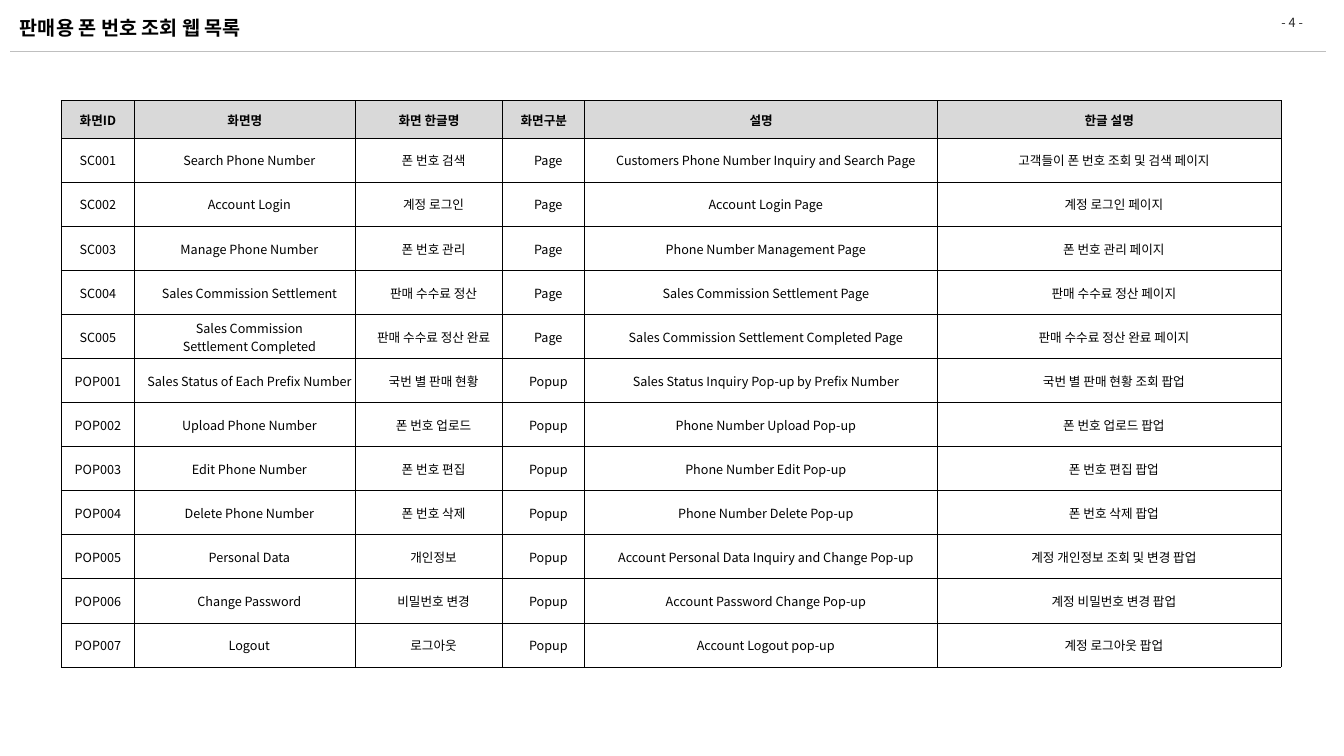
from dataclasses import dataclass

from lxml import etree
from pptx import Presentation
from pptx.dml.color import RGBColor
from pptx.enum.shapes import MSO_CONNECTOR
from pptx.enum.text import MSO_ANCHOR, PP_ALIGN
from pptx.oxml.ns import qn
from pptx.util import Pt

STRAIGHT = MSO_CONNECTOR.STRAIGHT
MIDDLE = MSO_ANCHOR.MIDDLE
LEFT, CENTER = PP_ALIGN.LEFT, PP_ALIGN.CENTER


@dataclass(frozen=True)
class Theme:
    font: str = "Noto Sans CJK KR"
    ink: str = "000000"
    page_ink: str = "262626"
    rule: str = "BFBFBF"
    header_fill: str = "D9D9D9"
    title_size: float = 14
    text_size: float = 9
    rule_width: float = 0.25
    border_width: float = 0.5


THEME = Theme()
COLUMN_WIDTHS = [52.2, 157.7, 105.5, 58.5, 252.1, 245.2]
HEADER_HEIGHT = 26.5
ROW_HEIGHT = 31.5
BODY_INDENT = 6.5
HEADERS = ["화면ID", "화면명", "화면 한글명", "화면구분", "설명", "한글 설명"]
SCREENS = [
    ["SC001", "Search Phone Number", "폰 번호 검색", "Page",
     "Customers Phone Number Inquiry and Search Page", "고객들이 폰 번호 조회 및 검색 페이지"],
    ["SC002", "Account Login", "계정 로그인", "Page",
     "Account Login Page", "계정 로그인 페이지"],
    ["SC003", "Manage Phone Number", "폰 번호 관리", "Page",
     "Phone Number Management Page", "폰 번호 관리 페이지"],
    ["SC004", "Sales Commission Settlement", "판매 수수료 정산", "Page",
     "Sales Commission Settlement Page", "판매 수수료 정산 페이지"],
    ["SC005", "Sales Commission\nSettlement Completed", "판매 수수료 정산 완료", "Page",
     "Sales Commission Settlement Completed Page", "판매 수수료 정산 완료 페이지"],
    ["POP001", "Sales Status of Each Prefix Number", "국번 별 판매 현황", "Popup",
     "Sales Status Inquiry Pop-up by Prefix Number", "국번 별 판매 현황 조회 팝업"],
    ["POP002", "Upload Phone Number", "폰 번호 업로드", "Popup",
     "Phone Number Upload Pop-up", "폰 번호 업로드 팝업"],
    ["POP003", "Edit Phone Number", "폰 번호 편집", "Popup",
     "Phone Number Edit Pop-up", "폰 번호 편집 팝업"],
    ["POP004", "Delete Phone Number", "폰 번호 삭제", "Popup",
     "Phone Number Delete Pop-up", "폰 번호 삭제 팝업"],
    ["POP005", "Personal Data", "개인정보", "Popup",
     "Account Personal Data Inquiry and Change Pop-up", "계정 개인정보 조회 및 변경 팝업"],
    ["POP006", "Change Password", "비밀번호 변경", "Popup",
     "Account Password Change Pop-up", "계정 비밀번호 변경 팝업"],
    ["POP007", "Logout", "로그아웃", "Popup",
     "Account Logout pop-up", "계정 로그아웃 팝업"],
]


def style_para(para, size, color, bold=False, align=CENTER):
    para.alignment = align
    para.font.size = Pt(size)
    para.font.bold = bold
    para.font.color.rgb = RGBColor.from_string(color)
    para.font.name = THEME.font
    defaults = para._p.pPr.find(qn("a:defRPr"))
    etree.SubElement(defaults, qn("a:ea"), typeface=THEME.font)


def add_text(page, text, left, top, width, height, size, color, bold=False, align=CENTER):
    box = page.shapes.add_textbox(Pt(left), Pt(top), Pt(width), Pt(height))
    frame = box.text_frame
    frame.word_wrap = True
    frame.vertical_anchor = MIDDLE
    frame.text = text
    style_para(frame.paragraphs[0], size, color, bold, align)


def add_rule(page, left, right, y):
    rule = page.shapes.add_connector(STRAIGHT, Pt(left), Pt(y), Pt(right), Pt(y))
    rule.line.color.rgb = RGBColor.from_string(THEME.rule)
    rule.line.width = Pt(THEME.rule_width)
    etree.SubElement(rule._element.spPr, qn("a:effectLst"))


def add_borders(cell):
    properties = cell._tc.get_or_add_tcPr()
    for side in ("lnL", "lnR", "lnT", "lnB"):
        border = etree.SubElement(properties, qn(f"a:{side}"), w=str(Pt(THEME.border_width)))
        fill = etree.SubElement(border, qn("a:solidFill"))
        etree.SubElement(fill, qn("a:srgbClr"), val=THEME.ink)


def fill_cell(cell, text, is_header, indent):
    cell.margin_left = cell.margin_top = cell.margin_right = Pt(0.7)
    cell.margin_bottom = Pt(0)
    cell.vertical_anchor = MIDDLE
    add_borders(cell)
    if is_header:
        cell.fill.solid()
        cell.fill.fore_color.rgb = RGBColor.from_string(THEME.header_fill)
    else:
        cell.fill.background()
    cell.text = text
    for para in cell.text_frame.paragraphs:
        style_para(para, THEME.text_size, THEME.ink, is_header)
        if indent:
            para._p.pPr.set("marL", str(Pt(indent)))


def add_screen_table(page, left, top):
    rows = [HEADERS] + SCREENS
    height = HEADER_HEIGHT + ROW_HEIGHT * len(SCREENS)
    table = page.shapes.add_table(len(rows), len(HEADERS), Pt(left), Pt(top),
                                  Pt(sum(COLUMN_WIDTHS)), Pt(height)).table
    table.first_row = table.horz_banding = False
    for column, width in zip(table.columns, COLUMN_WIDTHS):
        column.width = Pt(width)
    for row_index, texts in enumerate(rows):
        is_header = row_index == 0
        table.rows[row_index].height = Pt(HEADER_HEIGHT if is_header else ROW_HEIGHT)
        for column_index, text in enumerate(texts):
            indent = 0 if is_header or column_index == 0 else BODY_INDENT
            fill_cell(table.cell(row_index, column_index), text, is_header, indent)


def main():
    deck = Presentation()
    deck.slide_width, deck.slide_height = Pt(960), Pt(540)
    page = deck.slides.add_slide(deck.slide_layouts[6])
    add_text(page, "- 4 -", 892, 6.2, 62, 20, THEME.text_size, THEME.page_ink)
    add_rule(page, 7.2, 946.8, 36.7)
    add_text(page, "판매용 폰 번호 조회 웹 목록", 7.2, 2.9, 623.5, 33.8,
             THEME.title_size, THEME.ink, True, LEFT)
    add_screen_table(page, 43.8, 72)
    deck.save("out.pptx")


if __name__ == "__main__":
    main()
